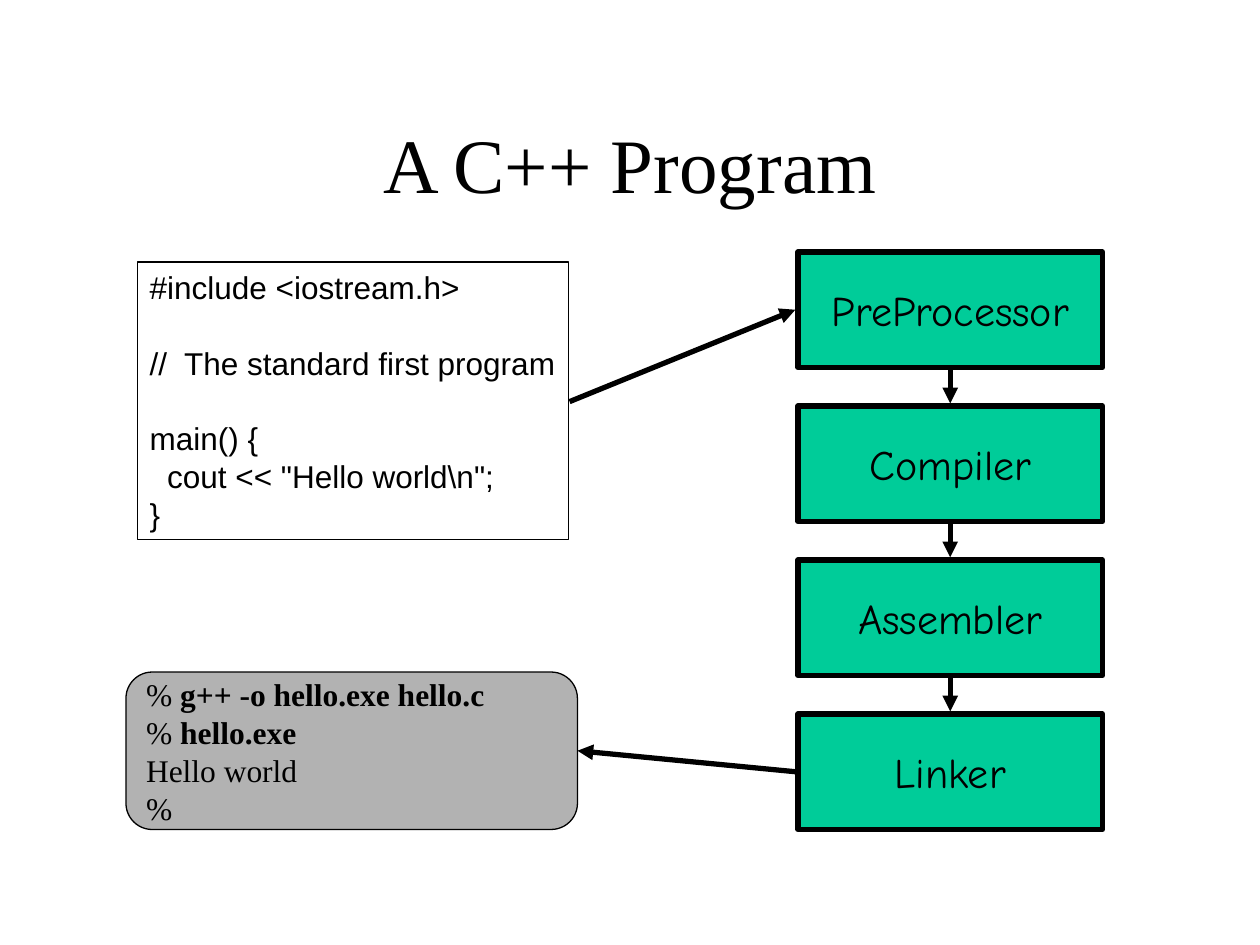
import pptx
import pptx.util
import pptx.dml.color
import pptx.enum.shapes
import pptx.enum.text
import pptx.oxml.ns
from lxml import etree

Pt = pptx.util.Pt
RGB = pptx.dml.color.RGBColor
Kind = pptx.enum.shapes.MSO_SHAPE
Align = pptx.enum.text.PP_ALIGN
Anchor = pptx.enum.text.MSO_ANCHOR
qn = pptx.oxml.ns.qn

BLACK = RGB(0x00, 0x00, 0x00)
GREEN = RGB(0x00, 0xCC, 0x99)
GRAY = RGB(0xB2, 0xB2, 0xB2)
SERIF = "Times New Roman"

TITLE = "A C++ Program"
CODE = [
    ("#include <iostream.h>", False),
    ("//  The standard first program", True),
    ("main() {", True),
    ('  cout << "Hello world\\n";', False),
    ("}", False),
]
SHELL = [
    ("% ", "g++ -o hello.exe hello.c"),
    ("% ", "hello.exe"),
    ("Hello world", ""),
    ("%", ""),
]
STEPS = ["PreProcessor", "Compiler", "Assembler", "Linker"]

LEAD = 21.6
LEFT, TOP, WIDE, HIGH, PITCH = 456, 144, 174, 66, 88
GAP = 1.5

deck = pptx.Presentation()
deck.slide_width, deck.slide_height = Pt(720), Pt(540)
slide = deck.slides.add_slide(deck.slide_layouts[6])


def add_box(kind, place, fill, weight, anchor=Anchor.MIDDLE):
    box = slide.shapes.add_shape(kind, *map(Pt, place))
    box.shadow.inherit = False
    if fill is None:
        box.fill.background()
    else:
        box.fill.solid()
        box.fill.fore_color.rgb = fill
    box.line.color.rgb = BLACK
    box.line.width = Pt(weight)
    box.text_frame.word_wrap = False
    box.text_frame.vertical_anchor = anchor
    return box


def add_line(frame, index, text, font, size, align=Align.LEFT):
    para = frame.paragraphs[0] if index == 0 else frame.add_paragraph()
    para.alignment = align
    para.font.name = font
    para.font.size = Pt(size)
    para.font.color.rgb = BLACK
    para.add_run().text = text
    return para


def add_arrow(start, end):
    line = slide.shapes.add_connector(
        pptx.enum.shapes.MSO_CONNECTOR.STRAIGHT, *map(Pt, start + end))
    line.line.color.rgb = BLACK
    line.line.width = Pt(3)
    edge = line.line._get_or_add_ln()
    etree.SubElement(edge, qn("a:tailEnd"), type="triangle")
    etree.SubElement(line._element.spPr, qn("a:effectLst"))


head = slide.shapes.add_textbox(Pt(54), Pt(48), Pt(612), Pt(90)).text_frame
head.word_wrap = True
head.vertical_anchor = Anchor.MIDDLE
add_line(head, 0, TITLE, SERIF, 44, Align.CENTER)

code = add_box(Kind.RECTANGLE, (78.5, 149.75, 246.5, 158.5), None, 0.75, Anchor.TOP)
for i, (text, apart) in enumerate(CODE):
    para = add_line(code.text_frame, i, text, "Arial", 18)
    para.line_spacing = Pt(LEAD)
    if apart:
        para.space_before = Pt(LEAD)

for i, step in enumerate(STEPS):
    box = add_box(Kind.FLOWCHART_PROCESS, (LEFT, TOP + i * PITCH, WIDE, HIGH), GREEN, 3)
    add_line(box.text_frame, 0, step, "Comic Neue", 24, Align.CENTER)

shell = add_box(Kind.ROUNDED_RECTANGLE, (72, 384, 258, 90), GRAY, 0.75)
shell.adjustments[0] = 0.167
for i, (text, bold) in enumerate(SHELL):
    para = add_line(shell.text_frame, i, text, SERIF, 18)
    para.line_spacing = Pt(LEAD)
    if bold:
        run = para.add_run()
        run.text = bold
        run.font.bold = True

mid = LEFT + WIDE / 2
last = TOP + (len(STEPS) - 1) * PITCH
add_arrow((325.5, 229.5), (LEFT - GAP, TOP + HIGH / 2))
for i in range(len(STEPS) - 1):
    top = TOP + i * PITCH
    add_arrow((mid, top + HIGH + GAP), (mid, top + PITCH - GAP))
add_arrow((LEFT - GAP, last + HIGH / 2), (330, 429))

deck.save("out.pptx")
